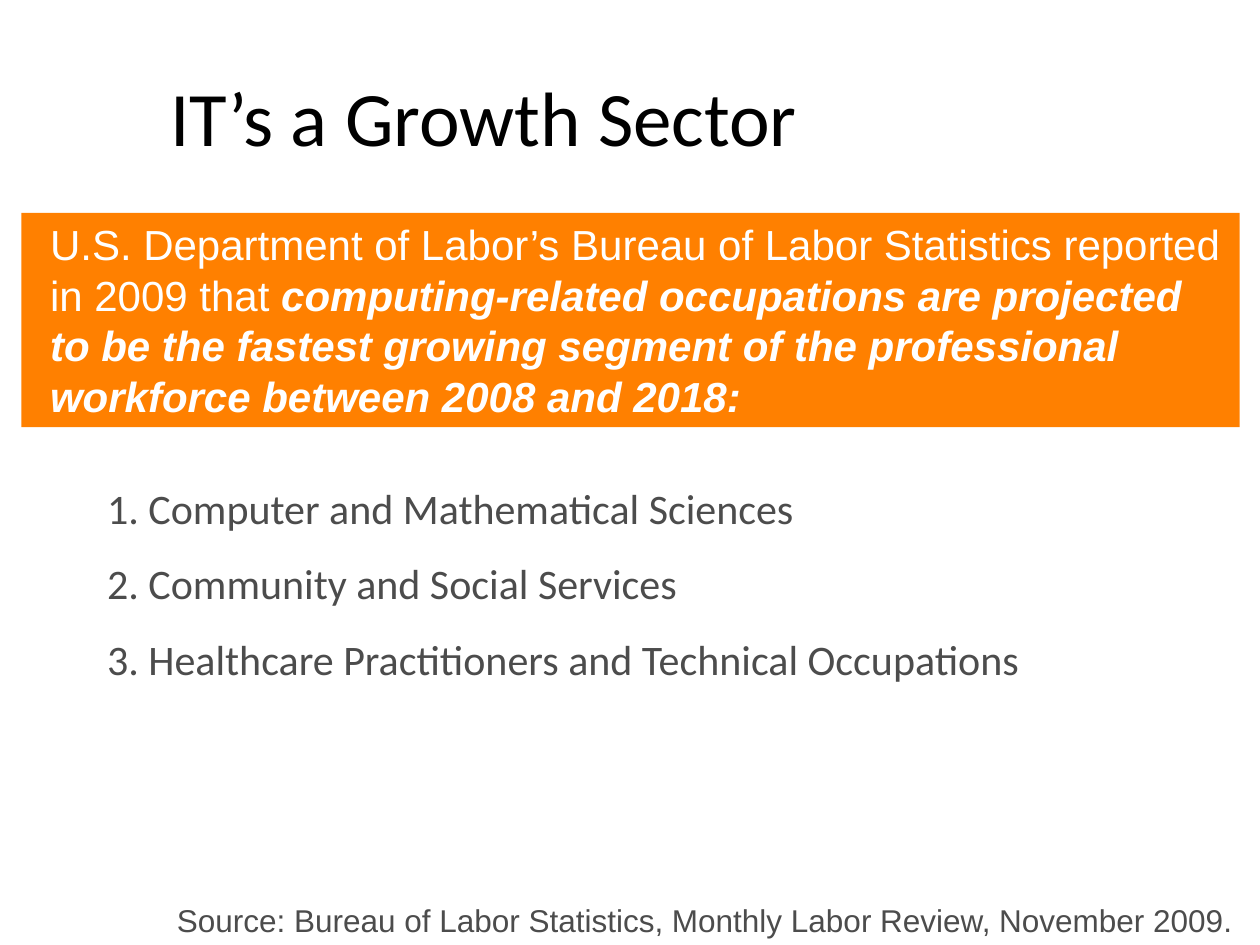
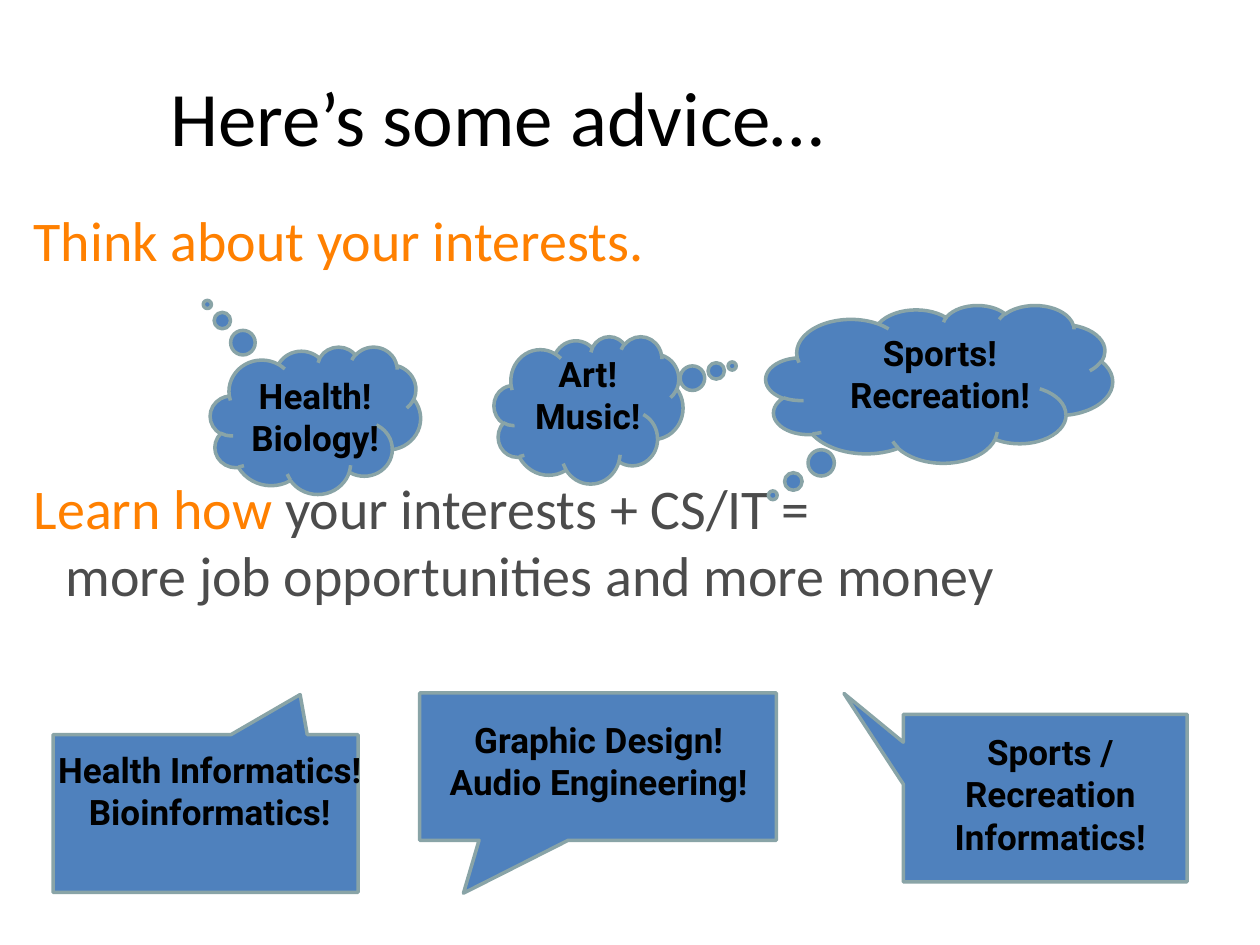
"""Build two slides on growth in IT jobs and advice for students."""
from lxml import etree
from pptx import Presentation
from pptx.dml.color import RGBColor
from pptx.enum.shapes import MSO_SHAPE
from pptx.enum.text import PP_ALIGN
from pptx.oxml.ns import qn
from pptx.util import Cm, Pt

CLOUD = MSO_SHAPE.CLOUD_CALLOUT
WEDGE = MSO_SHAPE.RECTANGULAR_CALLOUT
LEFT, CENTER, RIGHT = PP_ALIGN.LEFT, PP_ALIGN.CENTER, PP_ALIGN.RIGHT
ORANGE = RGBColor(0xFF, 0x80, 0x00)
GRAY = RGBColor(0x4C, 0x4C, 0x4C)
BLACK = RGBColor(0x00, 0x00, 0x00)
WHITE = RGBColor(0xFF, 0xFF, 0xFF)
BLUE = RGBColor(0x4F, 0x81, 0xBD)
EDGE = RGBColor(0x89, 0xA4, 0xA7)


def add_text(s, at, lines, font, size, color, align=LEFT, spacing=1.0, fill=None, line=None):
    sp = s.shapes.add_textbox(*map(Cm, at))
    if fill is not None:
        sp.fill.solid()
        sp.fill.fore_color.rgb = fill
    if line is not None:
        sp.line.color.rgb = line
        sp.line.width = Pt(0.75)
    tf = sp.text_frame
    tf.word_wrap = True
    for i, text in enumerate(lines):
        p = tf.paragraphs[0] if i == 0 else tf.add_paragraph()
        p.text = text
        p.alignment = align
        p.line_spacing = spacing
        p.font.name = font
        p.font.size = Pt(size)
        p.font.color.rgb = color
    return sp


def indent(p, left, first):
    pPr = p._p.get_or_add_pPr()
    pPr.set("marL", str(Cm(left)))
    pPr.set("indent", str(Cm(first)))
    return pPr


prs = Presentation()
prs.slide_width, prs.slide_height = Cm(25.4), Cm(19.05)
slides = []
for title in ("IT’s a Growth Sector", "Here’s some advice…"):
    s = prs.slides.add_slide(prs.slide_layouts[6])
    add_text(s, (3.18, 1.27, 21.59, 1.9), [title], "Calibri", 44, BLACK,
             fill=WHITE, line=WHITE)
    slides.append(s)
growth, advice = slides

sectors = add_text(growth, (0, 9.09, 24.97, 5.51),
                   [" Computer and Mathematical Sciences",
                    " Community and Social Services",
                    " Healthcare Practitioners and Technical Occupations"],
                   "Calibri", 24, GRAY, spacing=1.5, fill=WHITE, line=WHITE)
for p in sectors.text_frame.paragraphs:
    pPr = indent(p, 1.73, 0.18)
    number = etree.Element(qn("a:buAutoNum"), type="arabicPeriod")
    pPr.find(qn("a:defRPr")).addprevious(number)

banner = add_text(growth, (0.43, 4.29, 24.56, 4.32),
                  ["U.S. Department of Labor’s Bureau of Labor Statistics reported in 2009 that "],
                  "Arial", 24, WHITE, fill=ORANGE)
p = banner.text_frame.paragraphs[0]
indent(p, 0.33, 0)
r = p.add_run()
r.text = ("computing-related occupations are projected to be the fastest growing "
          "segment of the professional workforce between 2008 and 2018:")
r.font.bold = r.font.italic = True

add_text(growth, (2.01, 18.03, 23.09, 1.02),
         ["Source: Bureau of Labor Statistics, Monthly Labor Review, November 2009."],
         "Arial", 18, GRAY, RIGHT)

body = add_text(advice, (0.43, 4.01, 24.56, 14.6),
                ["Think about your interests.", "Learn how "],
                "Calibri", 32, ORANGE, fill=WHITE, line=WHITE)
for p in body.text_frame.paragraphs:
    indent(p, 0.64, -0.64)
p.space_before = Pt(115)
for i, line in enumerate(("your interests + CS/IT =", "more job opportunities and more money")):
    if i:
        p.add_line_break()
    r = p.add_run()
    r.text = line
    r.font.color.rgb = GRAY

callouts = [
    (CLOUD, (4.24, 6.99, 4.24, 2.97), (-0.514, -0.787),
     (4.45, 7.42, 3.81, 1.96), ["Health!", "Biology!"]),
    (CLOUD, (9.96, 6.78, 3.81, 2.97), (0.76, -0.298),
     (10.16, 6.99, 3.38, 1.96), ["Art! Music!"]),
    (CLOUD, (15.44, 6.15, 6.99, 3.18), (-0.48, 0.706),
     (16.31, 6.55, 5.28, 1.96), ["Sports!", "Recreation!"]),
    (WEDGE, (1.07, 14.81, 6.15, 3.18), (0.31, -0.754),
     (0.84, 14.96, 6.78, 2.79), ["Health Informatics! Bioinformatics!"]),
    (WEDGE, (8.46, 13.97, 7.19, 2.97), (-0.377, 0.859),
     (8.26, 14.35, 7.62, 2.97), ["Graphic Design!", "Audio Engineering!"]),
    (WEDGE, (18.21, 14.4, 5.72, 3.38), (-0.709, -0.624),
     (18.42, 14.61, 5.51, 2.79), ["Sports / Recreation Informatics!"]),
]
for kind, at, tip, label_at, lines in callouts:
    sp = advice.shapes.add_shape(kind, *map(Cm, at))
    sp.adjustments[0], sp.adjustments[1] = tip
    sp.shadow.inherit = False
    sp.fill.solid()
    sp.fill.fore_color.rgb = BLUE
    sp.line.color.rgb = EDGE
    sp.line.width = Pt(2)
    label = add_text(advice, label_at, lines, "Roboto", 20, BLACK, CENTER)
    for p in label.text_frame.paragraphs:
        p.font.bold = True

prs.save("out.pptx")
